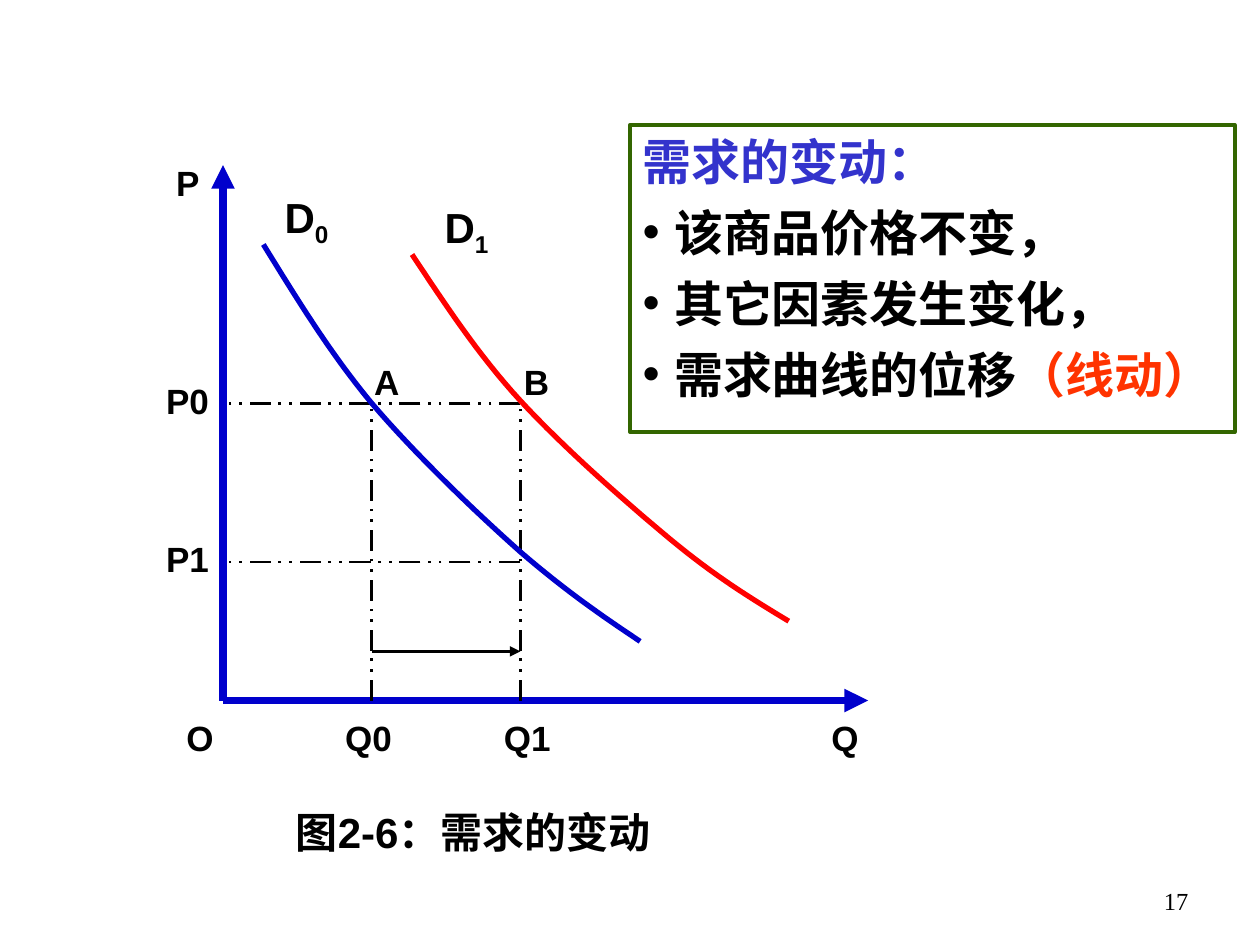
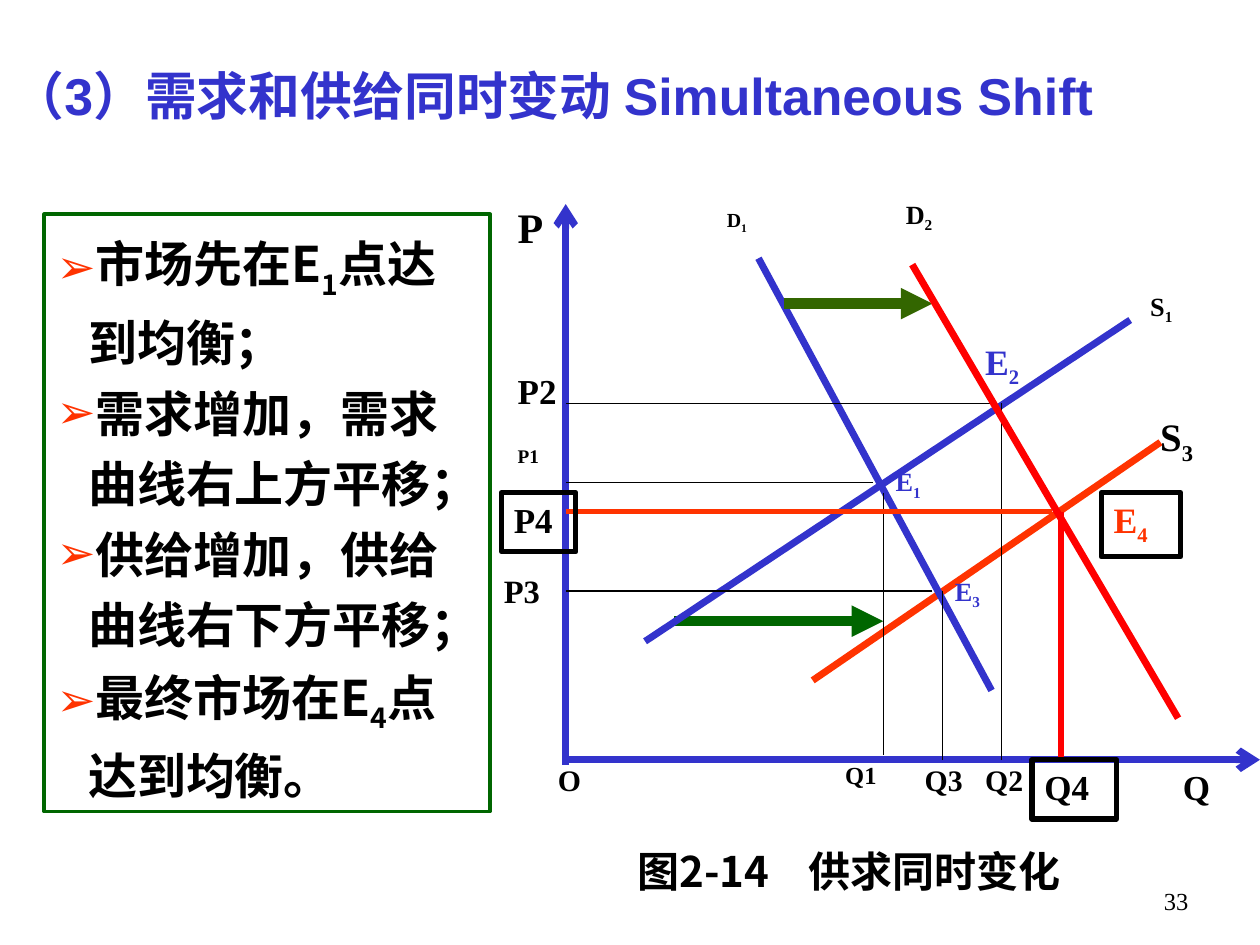
from lxml import etree
from pptx import Presentation
from pptx.dml.color import RGBColor
from pptx.enum.dml import MSO_LINE
from pptx.enum.shapes import MSO_CONNECTOR, MSO_SHAPE
from pptx.enum.text import MSO_ANCHOR, MSO_AUTO_SIZE, PP_ALIGN
from pptx.oxml.ns import qn
from pptx.util import Inches, Pt

COLORS = {
    "black": "000000", "white": "FFFFFF", "axis": "0000CC", "blue": "3333CC",
    "red": "FF0000", "orange": "FF3300", "olive": "336600", "green": "006600",
}
SANS, SERIF, HEI = "Arial", "Times New Roman", "Noto Sans CJK SC"


def rgb(color):
    return RGBColor.from_string(COLORS[color])


def set_font(font, name, size, color="black", bold=True):
    font.name, font.size, font.bold = name, Pt(size), bold
    font.color.rgb = rgb(color)
    etree.SubElement(font._element, qn("a:ea")).set("typeface", HEI)


def write(paragraph, text):
    for index, part in enumerate(text.split("_")):
        run = paragraph.add_run()
        run.text = part
        if index % 2:
            run.font._element.set("baseline", "-25000")


def place(shape, left, top, width, height):
    shape.left, shape.top = Inches(left), Inches(top)
    shape.width, shape.height = Inches(width), Inches(height)


def fill_label(box, text, size, font, color="black", spacing=1.0,
               align=PP_ALIGN.LEFT, bold=True, tab=None):
    box.text_frame.word_wrap = True
    paragraph = box.text_frame.paragraphs[0]
    write(paragraph, text)
    if tab:
        tabs = etree.SubElement(paragraph._p.get_or_add_pPr(), qn("a:tabLst"))
        etree.SubElement(tabs, qn("a:tab"), pos=str(Inches(tab)), algn="l")
    paragraph.alignment = align
    paragraph.line_spacing = spacing
    set_font(paragraph.font, font, size, color, bold)


def add_label(slide, text, left, top, size, font=SERIF, width=0.75, height=0.44, **style):
    box = slide.shapes.add_textbox(*map(Inches, (left, top, width, height)))
    fill_label(box, text, size, font, **style)


def add_framed_label(slide, text, left, top, width, height, size=20, **style):
    frame = slide.shapes.add_shape(
        MSO_SHAPE.RECTANGLE, *map(Inches, (left, top, width, height)))
    frame.shadow.inherit = False
    frame.fill.background()
    frame.line.color.rgb = rgb("black")
    frame.line.width = Pt(3)
    frame.text_frame.vertical_anchor = MSO_ANCHOR.TOP
    fill_label(frame, text, size, SERIF, **style)


def add_line(slide, start, end, color="black", width=0.75, dash=None, arrow=None):
    connector = slide.shapes.add_connector(
        MSO_CONNECTOR.STRAIGHT, *map(Inches, (*start, *end)))
    connector.line.color.rgb = rgb(color)
    connector.line.width = Pt(width)
    if dash:
        connector.line.dash_style = dash
    props = connector._element.spPr
    if arrow:
        etree.SubElement(props.find(qn("a:ln")), qn("a:tailEnd")).set("type", arrow)
    etree.SubElement(props, qn("a:effectLst"))


def bezier(p0, p1, p2, p3, t):
    return tuple(Inches((1 - t) ** 3 * a + 3 * (1 - t) ** 2 * t * b
                        + 3 * (1 - t) * t ** 2 * c + t ** 3 * d)
                 for a, b, c, d in zip(p0, p1, p2, p3))


def add_curve(slide, knots, color, steps=16):
    points = [bezier(*knots[i:i + 4], step / steps)
              for i in range(0, len(knots) - 1, 3) for step in range(1, steps + 1)]
    builder = slide.shapes.build_freeform(*map(Inches, knots[0]))
    builder.add_line_segments(points, close=False)
    curve = builder.convert_to_shape()
    curve.shadow.inherit = False
    curve.fill.background()
    curve.line.color.rgb = rgb(color)
    curve.line.width = Pt(3)


def set_bullet(paragraph, char, color, percent):
    props = paragraph._p.get_or_add_pPr()
    hang = Inches(0.25) if char else 0
    props.set("marL", str(hang))
    props.set("indent", str(-hang))
    if not char:
        etree.SubElement(props, qn("a:buNone"))
        return
    fill = etree.SubElement(props, qn("a:buClr"))
    etree.SubElement(fill, qn("a:srgbClr")).set("val", COLORS[color])
    etree.SubElement(props, qn("a:buSzPct")).set("val", str(percent * 1000))
    etree.SubElement(props, qn("a:buFont")).set("typeface", SANS)
    etree.SubElement(props, qn("a:buChar")).set("char", char)


def fill_list(slide, area, border, items, before=0, spacing=1.0):
    body = slide.placeholders[1]
    place(body, *area)
    body.fill.solid()
    body.fill.fore_color.rgb = rgb("white")
    body.line.color.rgb = rgb(border)
    body.line.width = Pt(2)
    frame = body.text_frame
    frame.auto_size = MSO_AUTO_SIZE.NONE
    for index, (text, char, bullet_color, percent, color) in enumerate(items):
        paragraph = frame.add_paragraph() if index else frame.paragraphs[0]
        set_bullet(paragraph, char, bullet_color, percent)
        write(paragraph, text)
        paragraph.space_before = Pt(before if index else 0)
        paragraph.line_spacing = spacing
        set_font(paragraph.font, HEI, 28, color)
    return frame


def add_page_number(slide, number):
    add_label(slide, number, 7.2, 6.98, 14, width=2.33, height=0.52,
              align=PP_ALIGN.RIGHT, bold=False)


def build_demand_shift(prs):
    slide = prs.slides.add_slide(prs.slide_layouts[1])
    title = slide.shapes.title._element
    title.getparent().remove(title)

    left, bottom, q0, q1, p0, p1 = 1.77, 5.56, 2.95, 4.13, 3.2, 4.46
    for end in ((6.89, bottom), (left, 1.31)):
        add_line(slide, (left, bottom), end, "axis", 4.5, arrow="triangle")
    for start, end in (((q0, bottom), (q0, p0)), ((q1, bottom), (q1, p0)),
                       ((q1, p0), (left, p0)), ((q1, p1), (left, p1))):
        add_line(slide, start, end, width=1.5, dash=MSO_LINE.DASH_DOT_DOT)
    add_line(slide, (q0, 5.17), (q1, 5.17), width=1.5, arrow="triangle")

    add_curve(slide, [(2.09, 1.94), (2.35, 2.36), (2.61, 2.79), (q0, p0),
                      (3.29, 3.6), (3.78, 4.07), (q1, 4.38),
                      (4.49, 4.69), (4.78, 4.89), (5.08, 5.09)], "axis")
    add_curve(slide, [(3.27, 2.02), (3.53, 2.41), (3.79, 2.81), (q1, 3.18),
                      (4.48, 3.56), (4.96, 3.98), (5.32, 4.28),
                      (5.67, 4.57), (5.96, 4.75), (6.26, 4.93)], "red")

    for text, x, y in (("O", 1.38, 5.64), ("Q0", 2.64, 5.64), ("Q1", 3.9, 5.64),
                       ("Q", 6.5, 5.64), ("P", 1.3, 1.23), ("P0", 1.22, 2.96),
                       ("P1", 1.22, 4.22), ("A", 2.87, 2.81), ("B", 4.06, 2.81)):
        add_label(slide, text, x, y, 20, SANS)
    for text, x, y in (("D_0", 2.16, 1.47), ("D_1", 3.43, 1.55)):
        add_label(slide, text, x, y, 24, SANS)

    point = ("•", "black", 100, "black")
    frame = fill_list(slide, (5, 0.99, 4.8, 2.44), "olive", [
        ("需求的变动：", None, None, None, "blue"),
        ("该商品价格不变，", *point),
        ("其它因素发生变化，", *point),
        ("需求曲线的位移", *point),
    ], before=7)
    line_shift = frame.paragraphs[-1].add_run()
    line_shift.text = "（线动）"
    line_shift.font.color.rgb = rgb("orange")

    add_label(slide, "图2-6：需求的变动", 2.25, 6.35, 24, SANS, width=3.5)
    add_page_number(slide, "17")


def build_simultaneous_shift(prs):
    slide = prs.slides.add_slide(prs.slide_layouts[1])
    title = slide.shapes.title
    place(title, 0, 0.44, 9.53, 0.71)
    title.text_frame.vertical_anchor = MSO_ANCHOR.MIDDLE
    title.text_frame.auto_size = MSO_AUTO_SIZE.NONE
    fill_label(title, "（3）需求和供给同时变动 Simultaneous Shift",
               29.6, SANS, "blue", 0.8)

    left, bottom = 4.49, 6.03
    add_line(slide, (6.45, 5.4), (9.21, 3.51), "orange", 4)
    add_line(slide, (left, bottom), (10, bottom), "blue", 4, arrow="arrow")
    add_line(slide, (6.02, 2.05), (7.87, 5.48), "blue", 4)
    add_line(slide, (left, 6.07), (left, 1.62), "blue", 4, arrow="arrow")
    add_line(slide, (5.35, 4.93), (7.01, 4.93), "green", 6, arrow="triangle")
    add_line(slide, (6.22, 2.41), (7.4, 2.41), "olive", 6, arrow="triangle")
    add_line(slide, (5.12, 5.09), (8.97, 2.54), "blue", 4)
    for x, top, end in ((7.01, 3.91, 5.99), (7.95, 3.2, bottom), (7.48, 4.69, bottom)):
        add_line(slide, (x, top), (x, end))
    for x, y in ((7.4, 4.69), (6.93, 3.83), (7.87, 3.2)):
        add_line(slide, (x, y), (left, y))
    add_line(slide, (7.24, 2.1), (9.35, 5.7), "red", 4)
    add_line(slide, (8.35, 4.06), (left, 4.06), "orange", 3)
    add_line(slide, (8.42, 4.06), (8.42, bottom), "red", 3)

    for text, x, y, size, color, spacing in (
            ("P", 4.01, 1.55, 24, "black", 1), ("P2", 4.01, 2.88, 20, "black", 1),
            ("P1", 4.01, 3.51, 11, "black", 0.8), ("P3", 3.9, 4.54, 18.6, "black", 0.8),
            ("O", 4.33, bottom, 17, "black", 0.9), ("Q1", 6.61, bottom, 14, "black", 0.8),
            ("Q3", 7.24, bottom, 17, "black", 0.9), ("Q2", 7.72, bottom, 17, "black", 0.9),
            ("Q", 9.29, bottom, 20, "black", 1), ("D_1", 5.67, 1.62, 11.4, "black", 0.8),
            ("D_2", 7.09, 1.55, 15, "black", 0.8), ("S_1", 9.03, 2.28, 15, "black", 0.8),
            ("S_3", 9.11, 3.23, 22.2, "black", 0.9), ("E_1", 7.01, 3.67, 15, "blue", 0.8),
            ("E_2", 7.72, 2.65, 20.4, "blue", 0.9), ("E_3", 7.48, 4.54, 15, "blue", 0.8)):
        add_label(slide, text, x, y, size, color=color, spacing=spacing)
    add_framed_label(slide, "E_4", 8.74, 3.91, 0.63, 0.51, 20.4,
                     color="orange", spacing=0.9)
    add_framed_label(slide, "Q4", 8.19, bottom, 0.67, 0.47)
    add_framed_label(slide, "P4", 3.98, 3.91, 0.59, 0.47)

    steps = ("市场先在E_1_点达到均衡；", "需求增加，需求曲线右上方平移；",
             "供给增加，供给曲线右下方平移；", "最终市场在E_4_点达到均衡。")
    fill_list(slide, (0.35, 1.7, 3.54, 4.74), "green",
              [(step, "➢", "orange", 95, "black") for step in steps], spacing=1.2)

    add_label(slide, "图2-14\t供求同时变化", 4.96, 6.66, 24, HEI, width=4.73, tab=1.36)
    add_page_number(slide, "33")


def main():
    prs = Presentation()
    prs.slide_width, prs.slide_height = Inches(10), Inches(7.5)
    build_demand_shift(prs)
    build_simultaneous_shift(prs)
    prs.save("out.pptx")


if __name__ == "__main__":
    main()
